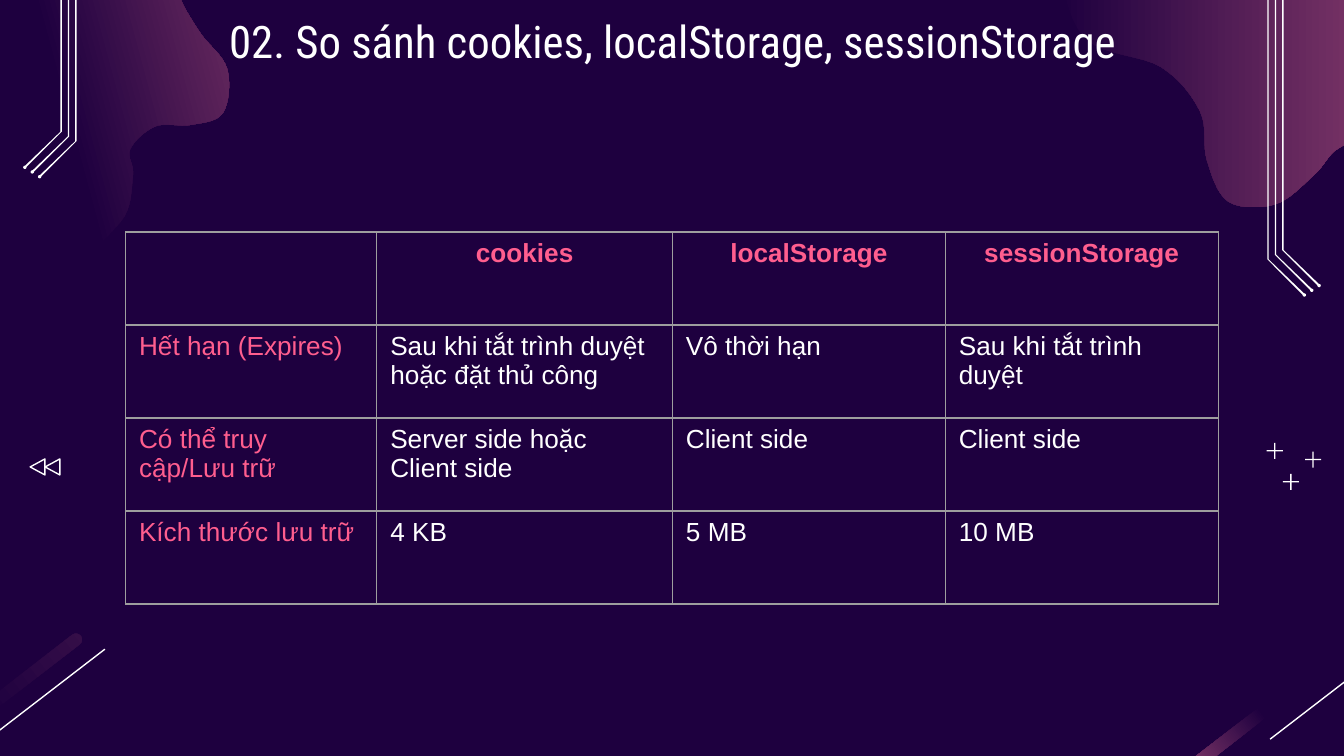
from copy import deepcopy

from lxml.etree import SubElement
from pptx import Presentation
from pptx.dml.color import RGBColor
from pptx.enum.shapes import MSO_CONNECTOR as Connector, MSO_SHAPE as Shape
from pptx.enum.text import PP_ALIGN as Align
from pptx.oxml.ns import qn
from pptx.util import Pt

NIGHT, DUSK, MAUVE = "1E003F", "350E48", "A64D79"
PINK, WHITE, GREY = "FF5E8E", "FFFFFF", "9E9E9E"
UNIT = 0.72  # decoration grid: points per hundredth of an inch
INSET = 7.2
LINE_WIDTH = 0.75


def color(code):
    return RGBColor.from_string(code)


def write(frame, text, size=14, font="Arial", ink=WHITE, bold=False, align=Align.LEFT):
    para = frame.paragraphs[0]
    para.alignment = align
    span = para.add_run()
    span.text = text
    span.font.size, span.font.name, span.font.bold = Pt(size), font, bold
    span.font.color.rgb = color(ink)


deck = Presentation()
deck.slide_width, deck.slide_height = Pt(720), Pt(405)
slide = deck.slides.add_slide(deck.slide_layouts[6])
slide.background.fill.solid()
slide.background.fill.fore_color.rgb = color(NIGHT)
shapes = slide.shapes

# Corner blobs: a smooth closed curve runs through a few anchors on the grid
left_edge = [(48, 190), (90, 165), (99, 131), (97, 111), (116, 94), (142, 93),
             (166, 84), (169, 51), (148, 23), (133, -7)]
left_beyond = [(143, -31), (228, -43), (258, -87), (233, -134), (164, -150),
               (70, -95), (-47, -82), (-194, 22), (-156, 80), (-88, 99), (-13, 133)]
right_edge = [(790, -18), (809, 30), (864, 50), (893, 83), (898, 119),
              (914, 150), (949, 152), (978, 130), (995, 111), (1018, 106)]
right_beyond = [(1052, 138), (1117, 88), (1125, 38), (1105, -35), (1058, -77),
                (989, -84), (897, -141), (852, -143), (793, -78)]
fade_late = [(0, NIGHT), (0.5, NIGHT), (1, MAUVE)]
fade_even = [(0, NIGHT), (1, MAUVE)]
fade_dim = [(0, NIGHT), (0.5, NIGHT), (1, DUSK)]

STEPS = 8
glows = []  # shape, gradient stops, gradient angle
for anchors, stops, angle in ((left_edge + left_beyond, fade_late, 15),
                              (right_edge + right_beyond, fade_even, 0)):
    curve = []
    for index, current in enumerate(anchors):
        before = anchors[index - 1]
        following = anchors[(index + 1) % len(anchors)]
        after = anchors[(index + 2) % len(anchors)]
        for step in range(STEPS):
            t = step / STEPS
            # Catmull-Rom spline, x and y alike; 100 grid units per inch
            curve.append([
                100 * UNIT * (p1 + t / 2 * (p2 - p0
                              + t * (2 * p0 - 5 * p1 + 4 * p2 - p3
                              + t * (3 * p1 - p0 - 3 * p2 + p3))))
                for p0, p1, p2, p3 in zip(before, current, following, after)])
    builder = shapes.build_freeform(*curve[0], scale=Pt(0.01))
    builder.add_line_segments(curve[1:])
    glows.append((builder.convert_to_shape(), stops, angle))

# Slanted bars in the bottom corners
BAR_LENGTH, BAR_THICKNESS = 134, 6.6
for center_x, stops, angle in ((-9.7, fade_dim, 0), (676.4, fade_late, 180)):
    bar = shapes.add_shape(Shape.ROUNDED_RECTANGLE, Pt(center_x - BAR_LENGTH / 2),
                           Pt(381.6 - BAR_THICKNESS / 2), Pt(BAR_LENGTH), Pt(BAR_THICKNESS))
    bar.adjustments[0] = 0.5
    bar.rotation = -37.7
    glows.append((bar, stops, angle))

# Gradients of blobs and bars
for glow, stops, angle in glows:
    glow.shadow.inherit = False
    glow.line.fill.background()
    glow.fill.gradient()
    glow.fill.gradient_angle = angle
    stop_list = glow._element.spPr.find(qn("a:gradFill")).find(qn("a:gsLst"))
    while len(stop_list) < len(stops):
        stop_list.append(deepcopy(stop_list[-1]))
    for stop, (position, code) in zip(glow.fill.gradient_stops, stops):
        stop.position = position
        stop.color.rgb = color(code)

# Diagonal lines beside the bars
for left in (-6.5, 680.4):
    diagonal = shapes.add_connector(Connector.STRAIGHT, Pt(left + 62.7), Pt(347.8),
                                    Pt(left), Pt(396))
    diagonal.line.color.rgb = color(WHITE)
    diagonal.line.width = Pt(LINE_WIDTH)
    SubElement(diagonal._element.spPr, qn("a:effectLst"))

# Circuit traces: three on the right, mirrored and raised on the left
SLIDE_UNITS, RAISE, SLANT = 1000, 88, 27
white_parts = []
ovals_and_bars = []  # preset, center, size on the grid
for mirrored in (False, True):
    for number in range(3):
        x, bend = 954 - 5.5 * number, 186 + 3.5 * number
        trace = [(x + 1, -119), (x, -119), (x, bend), (x + SLANT, bend + SLANT),
                 (x + SLANT + 1, bend + SLANT - 1), (x + 1, bend)]
        dot = (x + SLANT + 0.5, bend + SLANT - 0.5)
        if mirrored:
            *trace, dot = [(SLIDE_UNITS - px, py - RAISE) for px, py in trace + [dot]]
        trace = [(100 * UNIT * px, 100 * UNIT * py) for px, py in trace]
        builder = shapes.build_freeform(*trace[0], scale=Pt(0.01))
        builder.add_line_segments(trace[1:])
        white_parts.append(builder.convert_to_shape())
        ovals_and_bars.append((Shape.OVAL, dot, (2.5, 2.5)))

# Plus signs: two crossing bars each
for center in ((960.5, 358.5), (977, 342), (948.5, 335.5)):
    for size in ((12, 1), (1, 12)):
        ovals_and_bars.append((Shape.RECTANGLE, center, size))

for preset, (x, y), (width, height) in ovals_and_bars:
    white_parts.append(shapes.add_shape(
        preset, Pt((x - width / 2) * UNIT), Pt((y - height / 2) * UNIT),
        Pt(width * UNIT), Pt(height * UNIT)))
for part in white_parts:
    part.shadow.inherit = False
    part.fill.solid()
    part.fill.fore_color.rgb = color(WHITE)
    part.line.fill.background()

# Rewind arrows
for left in (15.8, 23.8):
    arrow = shapes.add_shape(Shape.ISOSCELES_TRIANGLE, Pt(left), Pt(246.2), Pt(8.6), Pt(7.9))
    arrow.rotation = 270
    arrow.shadow.inherit = False
    arrow.fill.background()
    arrow.line.color.rgb = color(WHITE)
    arrow.line.width = Pt(LINE_WIDTH)

# Title
box = shapes.add_textbox(Pt(56.9), Pt(0), Pt(607), Pt(45.4))
frame = box.text_frame
frame.word_wrap = True
frame.margin_left = frame.margin_right = frame.margin_top = frame.margin_bottom = Pt(INSET)
write(frame, "02. So sánh cookies, localStorage, sessionStorage", size=24,
      font="Roboto Condensed", align=Align.CENTER)

# Comparison table
rows = [
    ["", "cookies", "localStorage", "sessionStorage"],
    ["Hết hạn (Expires)", "Sau khi tắt trình duyệt hoặc đặt thủ công", "Vô thời hạn",
     "Sau khi tắt trình duyệt"],
    ["Có thể truy cập/Lưu trữ", "Server side hoặc Client side", "Client side", "Client side"],
    ["Kích thước lưu trữ", "4 KB", "5 MB", "10 MB"],
]
column_widths = (134.6, 158.4, 146.2, 146.2)
row_height = 49.86
table = shapes.add_table(len(rows), len(column_widths), Pt(67.3), Pt(124.3),
                         Pt(sum(column_widths)), Pt(row_height * len(rows))).table
table.first_row = table.horz_banding = False
for column, width in zip(table.columns, column_widths):
    column.width = Pt(width)
for row_index, texts in enumerate(rows):
    table.rows[row_index].height = Pt(row_height)
    for column_index, text in enumerate(texts):
        cell = table.cell(row_index, column_index)
        cell.margin_left = cell.margin_right = Pt(INSET)
        cell.margin_top = cell.margin_bottom = Pt(INSET / 2)
        for side in ("lnL", "lnR", "lnT", "lnB"):
            border = SubElement(cell._tc.get_or_add_tcPr(), qn("a:" + side),
                                w=str(Pt(LINE_WIDTH)))
            SubElement(SubElement(border, qn("a:solidFill")), qn("a:srgbClr"), val=GREY)
        cell.fill.background()
        header = row_index == 0
        if text:
            write(cell.text_frame, text, bold=header,
                  ink=PINK if header or column_index == 0 else WHITE,
                  align=Align.CENTER if header else Align.LEFT)

deck.save("out.pptx")
